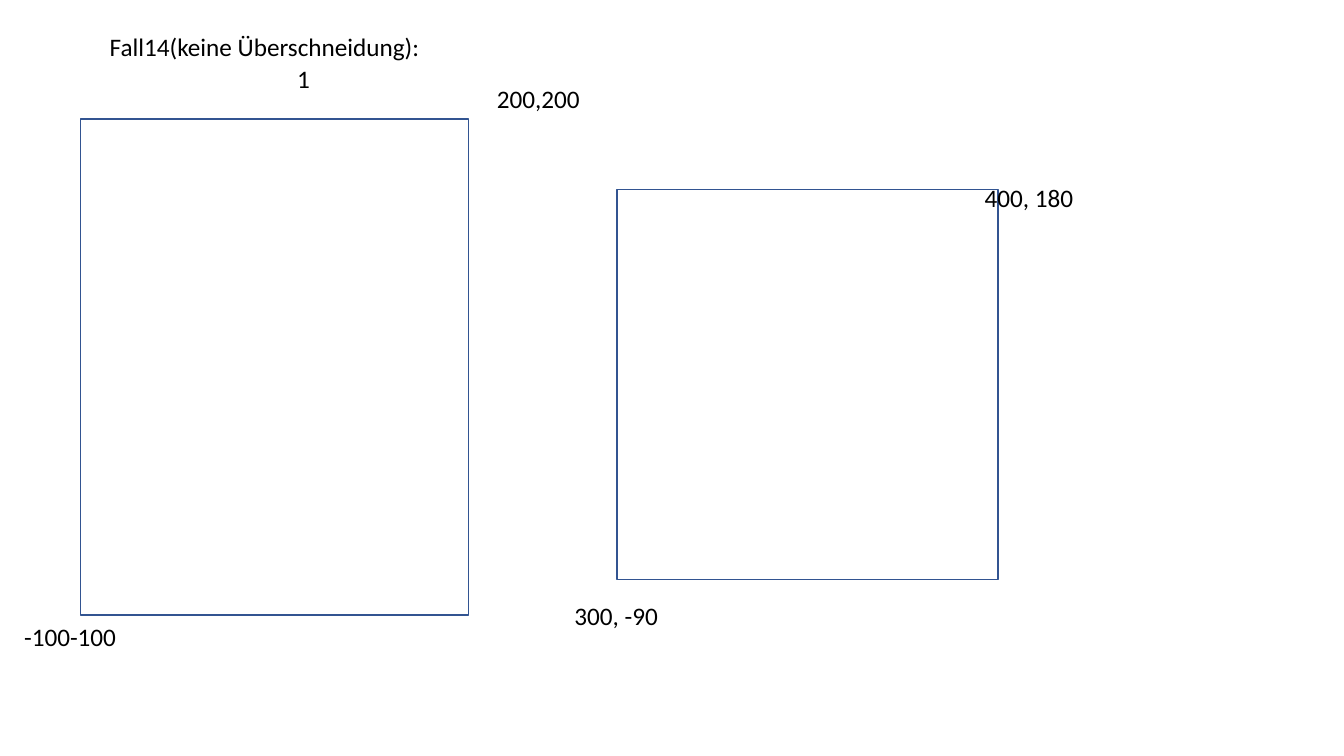
from pptx import Presentation
from pptx.dml.color import RGBColor
from pptx.enum.shapes import MSO_SHAPE
from pptx.enum.text import MSO_AUTO_SIZE
from pptx.util import Pt

RECT = MSO_SHAPE.RECTANGLE
GROW = MSO_AUTO_SIZE.SHAPE_TO_FIT_TEXT
FRAME = {"word_wrap": False, "auto_size": GROW}
FONT = {"name": "Calibri", "size": Pt(18)}
HIGH = 28.8  # height of one line of text with its insets


def color(code):
    return RGBColor.from_string(code)


def apply(item, values):
    for key, value in values.items():
        setattr(item, key, value)


def label(slide, left, top, width, text):
    frame = slide.shapes.add_textbox(Pt(left), Pt(top), Pt(width), Pt(HIGH)).text_frame
    apply(frame, FRAME)
    run = frame.paragraphs[0].add_run()
    run.text = text
    apply(run.font, FONT)
    run.font.color.rgb = color("000000")


def area(slide, box, fill, labels):
    """Draw a rectangle and its labels, offset from its top left corner."""
    left, top, width, height = box
    rect = slide.shapes.add_shape(RECT, Pt(left), Pt(top), Pt(width), Pt(height))
    rect.shadow.inherit = False
    if fill:
        rect.fill.solid()
        rect.fill.fore_color.rgb = color(fill)
    else:
        rect.fill.background()
    rect.line.color.rgb = color("325491")
    rect.line.width = Pt(1)
    for right, down, wide, text in labels:
        label(slide, left + right, top + down, wide, text)


deck = Presentation()
apply(deck, {"slide_width": Pt(960), "slide_height": Pt(540)})
slide = deck.slides.add_slide(deck.slide_layouts[6])

# Second area, on the right
area(slide, (440.6, 135.4, 272.2, 278.6), "FFFFFF", [
    (-37.4, 290.2, 74.9, "300, -90"),
    (255.6, -8.6, 78.5, "400, 180"),
])

# First area, on the left
area(slide, (57.6, 85, 277.2, 354.2), None, [
    (147.6, -43.2, 23.8, "1"),
    (-47.5, 355, 80.6, "-100-100"),
    (290.2, -28.8, 74.2, "200,200"),
])

# Heading
label(slide, 71.3, 18.7, 238.3, "Fall14(keine Überschneidung):")

deck.save("out.pptx")
